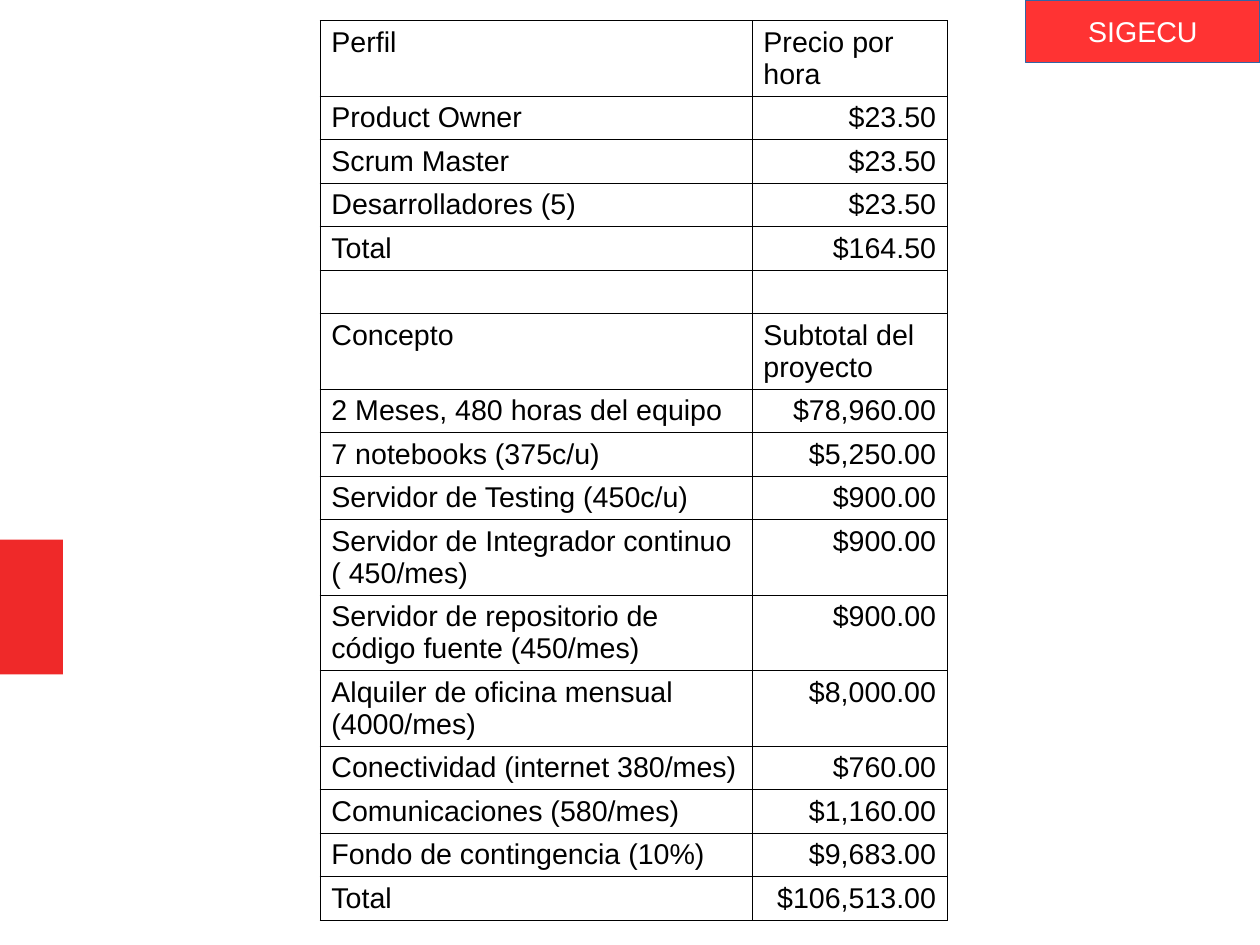
from dataclasses import dataclass

from lxml.etree import SubElement
from pptx import Presentation
from pptx.dml.color import RGBColor
from pptx.enum.shapes import MSO_SHAPE
from pptx.enum.text import MSO_ANCHOR, PP_ALIGN
from pptx.oxml.ns import qn
from pptx.shapes.autoshape import Shape
from pptx.slide import Slide
from pptx.table import _Cell
from pptx.text.text import _Paragraph
from pptx.util import Pt

TYPEFACE = "Arial"
SINGLE_LINE = 27.4
DOUBLE_LINE = 47.6
COLUMN_WIDTHS = (272.16, 123.12)
BORDER_WIDTH = 0.57


@dataclass(frozen=True)
class CostRow:
    concept: str
    amount: str
    height: float = SINGLE_LINE


@dataclass(frozen=True)
class Block:
    left: float
    top: float
    width: float
    height: float
    fill: str


COSTS = (
    CostRow("Perfil", "Precio por hora", DOUBLE_LINE),
    CostRow("Product Owner", "$23.50"),
    CostRow("Scrum Master", "$23.50"),
    CostRow("Desarrolladores (5)", "$23.50"),
    CostRow("Total", "$164.50"),
    CostRow("", ""),
    CostRow("Concepto", "Subtotal del proyecto", DOUBLE_LINE),
    CostRow("2 Meses, 480 horas del equipo", "$78,960.00"),
    CostRow("7 notebooks (375c/u)", "$5,250.00"),
    CostRow("Servidor de Testing (450c/u)", "$900.00"),
    CostRow("Servidor de Integrador continuo ( 450/mes)", "$900.00", DOUBLE_LINE),
    CostRow("Servidor de repositorio de código fuente (450/mes)", "$900.00", DOUBLE_LINE),
    CostRow("Alquiler de oficina mensual (4000/mes)", "$8,000.00", DOUBLE_LINE),
    CostRow("Conectividad (internet 380/mes)", "$760.00"),
    CostRow("Comunicaciones (580/mes)", "$1,160.00"),
    CostRow("Fondo de contingencia (10%)", "$9,683.00"),
    CostRow("Total", "$106,513.00"),
)
SIDE_MARK = Block(0, 339.84, 39.6, 84.96, "EF2929")
PROJECT_BADGE = Block(646.2, 0, 147.6, 39.6, "FF3333")


def color(value: str) -> RGBColor:
    """Turn a hex string into a colour."""
    return RGBColor.from_string(value)


def add_run(paragraph: _Paragraph, text: str, ink: str) -> None:
    """Add one run in the slide's typeface."""
    run = paragraph.add_run()
    run.text = text
    run.font.name = TYPEFACE
    run.font.size = Pt(18)
    run.font.bold = False
    run.font.color.rgb = color(ink)


def add_block(slide: Slide, block: Block) -> Shape:
    """Draw a plain filled rectangle."""
    rectangle = slide.shapes.add_shape(
        MSO_SHAPE.RECTANGLE, Pt(block.left), Pt(block.top), Pt(block.width), Pt(block.height)
    )
    rectangle.shadow.inherit = False
    rectangle.fill.solid()
    rectangle.fill.fore_color.rgb = color(block.fill)
    rectangle.line.fill.background()
    return rectangle


def add_badge(slide: Slide, block: Block, label: str) -> None:
    """Draw the outlined block that names the project."""
    badge = add_block(slide, block)
    badge.line.color.rgb = color("3465A4")
    badge.line.width = Pt(0)
    frame = badge.text_frame
    frame.word_wrap = False
    frame.vertical_anchor = MSO_ANCHOR.MIDDLE
    frame.paragraphs[0].alignment = PP_ALIGN.CENTER
    add_run(frame.paragraphs[0], label, "FFFFFF")


def outline_cell(cell: _Cell) -> None:
    """Give a cell thin black borders and no fill."""
    properties = cell._tc.get_or_add_tcPr()
    for side in ("lnL", "lnR", "lnT", "lnB"):
        border = SubElement(properties, qn(f"a:{side}"), w=str(int(Pt(BORDER_WIDTH))))
        solid = SubElement(border, qn("a:solidFill"))
        SubElement(solid, qn("a:srgbClr"), val="000000")
    cell.fill.background()


def fill_cell(cell: _Cell, text: str) -> None:
    """Write a cell, with amounts aligned to the right."""
    outline_cell(cell)
    paragraph = cell.text_frame.paragraphs[0]
    if text.startswith("$"):
        paragraph.alignment = PP_ALIGN.RIGHT
    if text:
        add_run(paragraph, text, "000000")
    else:
        ending = SubElement(paragraph._p, qn("a:endParaRPr"), sz="1800")
        SubElement(ending, qn("a:latin"), typeface=TYPEFACE)


def add_cost_table(slide: Slide, costs: tuple[CostRow, ...]) -> None:
    """Draw the table of profiles and project costs."""
    table = slide.shapes.add_table(
        len(costs), len(COLUMN_WIDTHS), Pt(201.6), Pt(12.96),
        Pt(sum(COLUMN_WIDTHS)), Pt(sum(cost.height for cost in costs)),
    ).table
    table.first_row = False
    table.horz_banding = False
    for column, width in zip(table.columns, COLUMN_WIDTHS):
        column.width = Pt(width)
    for row, cost in zip(table.rows, costs):
        row.height = Pt(cost.height)
        for cell, text in zip(row.cells, (cost.concept, cost.amount)):
            fill_cell(cell, text)


def main() -> None:
    """Build the project budget slide."""
    presentation = Presentation()
    presentation.slide_width = Pt(793.75)
    presentation.slide_height = Pt(595.25)
    slide = presentation.slides.add_slide(presentation.slide_layouts[6])
    add_block(slide, SIDE_MARK)
    add_cost_table(slide, COSTS)
    add_badge(slide, PROJECT_BADGE, "SIGECU")
    presentation.save("out.pptx")


if __name__ == "__main__":
    main()
